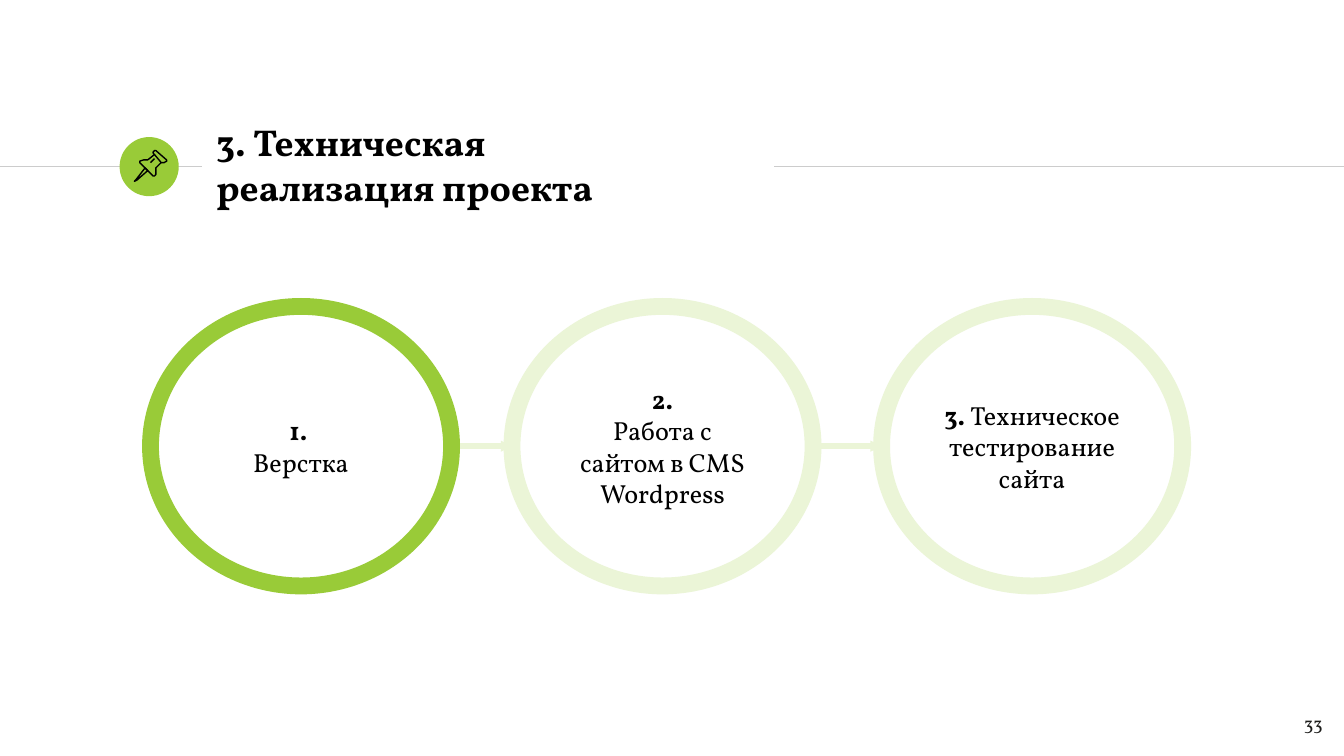
import dataclasses

import pptx
import pptx.dml.color
import pptx.enum.shapes
import pptx.enum.text
import pptx.oxml
import pptx.oxml.ns
import pptx.util

Inches = pptx.util.Inches
Pt = pptx.util.Pt
Shape = pptx.enum.shapes.MSO_SHAPE
Align = pptx.enum.text.PP_ALIGN
Anchor = pptx.enum.text.MSO_ANCHOR


@dataclasses.dataclass(frozen=True)
class Theme:
    """Colours, font and sizes of the slide."""
    green: str = "99CB38"
    pale: str = "EBF5D7"
    rule: str = "CCCCCC"
    ink: str = "000000"
    page: str = "1D1D1B"
    font: str = "Vollkorn"
    title: int = 20
    body: int = 14
    small: int = 10
    thin: float = 0.75
    link: int = 3
    ring: int = 9


THEME = Theme()


def rgb(code):
    """Turn a hex code into a colour."""
    return pptx.dml.color.RGBColor.from_string(code)


def stroke(item, color, width):
    """Set the line of a shape or connector."""
    item.line.color.rgb = rgb(color)
    item.line.width = Pt(width)


def write(shape, paras, size, color, align=Align.LEFT, anchor=Anchor.MIDDLE):
    """Fill a shape with paragraphs of (text, bold) runs."""
    frame = shape.text_frame
    frame.word_wrap = True
    frame.vertical_anchor = anchor
    frame.margin_left = frame.margin_right = Inches(0.1)
    frame.margin_top = frame.margin_bottom = Inches(0.1)
    for i, runs in enumerate(paras):
        para = frame.add_paragraph() if i else frame.paragraphs[0]
        para.alignment = align
        for text, bold in runs:
            if text == "\n":
                para.add_line_break()
                continue
            run = para.add_run()
            run.text = text
            run.font.name = THEME.font
            run.font.size = Pt(size)
            run.font.bold = bold
            run.font.color.rgb = rgb(color)


def rule(slide, start, end, y, color, width, arrow=False):
    """Draw a level line, with a small arrowhead if asked."""
    kind = pptx.enum.shapes.MSO_CONNECTOR.STRAIGHT
    line = slide.shapes.add_connector(
        kind, Inches(start), Inches(y), Inches(end), Inches(y))
    stroke(line, color, width)
    props = line._element.spPr
    space = pptx.oxml.ns.nsdecls("a")
    if arrow:
        props.ln.append(pptx.oxml.parse_xml(
            f'<a:tailEnd {space} type="triangle" w="sm" len="sm"/>'))
    props.append(pptx.oxml.parse_xml(f'<a:effectLst {space}/>'))


def pin(slide, left, top):
    """Draw the pushpin in outline, in hundredths of an inch."""
    needle = [(8, 13), (1, 22), (0, 23), (2, 22), (10, 15)]
    head = [(15, 3), (20, 9), (22, 9), (24, 8), (24, 7),
            (16, 0), (15, 0), (14, 1), (14, 2)]
    body = [(15, 3), (10, 7), (7, 7), (4, 8), (4, 9), (14, 19),
            (15, 19), (16, 18), (16, 13), (20, 9)]
    shine = [(12, 9), (15, 6)]
    for points, closed in ((needle, True), (head, True),
                           (body, False), (shine, False)):
        path = slide.shapes.build_freeform(*points[0], scale=Inches(0.01))
        path.add_line_segments(points[1:], close=closed)
        part = path.convert_to_shape(Inches(left), Inches(top))
        part.shadow.inherit = False
        part.fill.background()
        stroke(part, THEME.ink, THEME.thin)


def header(slide, left, top, width, height):
    """Place the badge, the side rules and the title."""
    mid = top + 0.26
    rule(slide, 0, left + 0.61, mid, THEME.rule, THEME.thin)
    badge = slide.shapes.add_shape(
        Shape.OVAL, Inches(left), Inches(top + 0.04), Inches(0.44), Inches(0.44))
    badge.shadow.inherit = False
    badge.fill.solid()
    badge.fill.fore_color.rgb = rgb(THEME.green)
    badge.line.fill.background()
    rule(slide, left + width, 10, mid, THEME.rule, THEME.thin)
    box = slide.shapes.add_textbox(
        Inches(left + 0.62), Inches(top), Inches(width - 0.63), Inches(height))
    title = [("3. Техническая ", True), ("\n", True), ("реализация проекта", True)]
    write(box, [title], THEME.title, THEME.ink)
    pin(slide, left + 0.11, top + 0.14)


def steps(slide, left, top, width, height):
    """Place the three rings and the arrows between them."""
    size = 2.24
    items = (
        (0, THEME.green, [[("1. ", True)], [("Верстка", False)]]),
        (2.69, THEME.pale,
         [[("2.", True)], [("Работа с сайтом в CMS Wordpress", False)]]),
        (width - size, THEME.pale,
         [[("3.", True), (" Техническое тестирование сайта", False)]]),
    )
    for (here, *_), (there, *_) in zip(items, items[1:]):
        rule(slide, left + here + size, left + there, top + height / 2,
             THEME.pale, THEME.link, arrow=True)
    for shift, color, paras in items:
        ring = slide.shapes.add_shape(
            Shape.OVAL, Inches(left + shift), Inches(top),
            Inches(size), Inches(height))
        ring.shadow.inherit = False
        ring.fill.background()
        stroke(ring, color, THEME.ring)
        write(ring, paras, THEME.body, THEME.ink, Align.CENTER)


def footer(slide, left, top, width, height):
    """Place the page number."""
    box = slide.shapes.add_textbox(
        Inches(left), Inches(top), Inches(width), Inches(height))
    write(box, [[("33", False)]], THEME.small, THEME.page,
          Align.RIGHT, Anchor.TOP)


def main():
    """Build and save the slide."""
    deck = pptx.Presentation()
    deck.slide_width = Inches(10)
    deck.slide_height = Inches(10 * 9 / 16)
    slide = deck.slides.add_slide(deck.slide_layouts[6])
    header(slide, 0.89, 0.98, 4.87, 0.48)
    steps(slide, 1.12, 2.28, 7.68, 2.08)
    footer(slide, 9.34, 5.21, 0.6, 0.43)
    deck.save("out.pptx")


if __name__ == "__main__":
    main()
